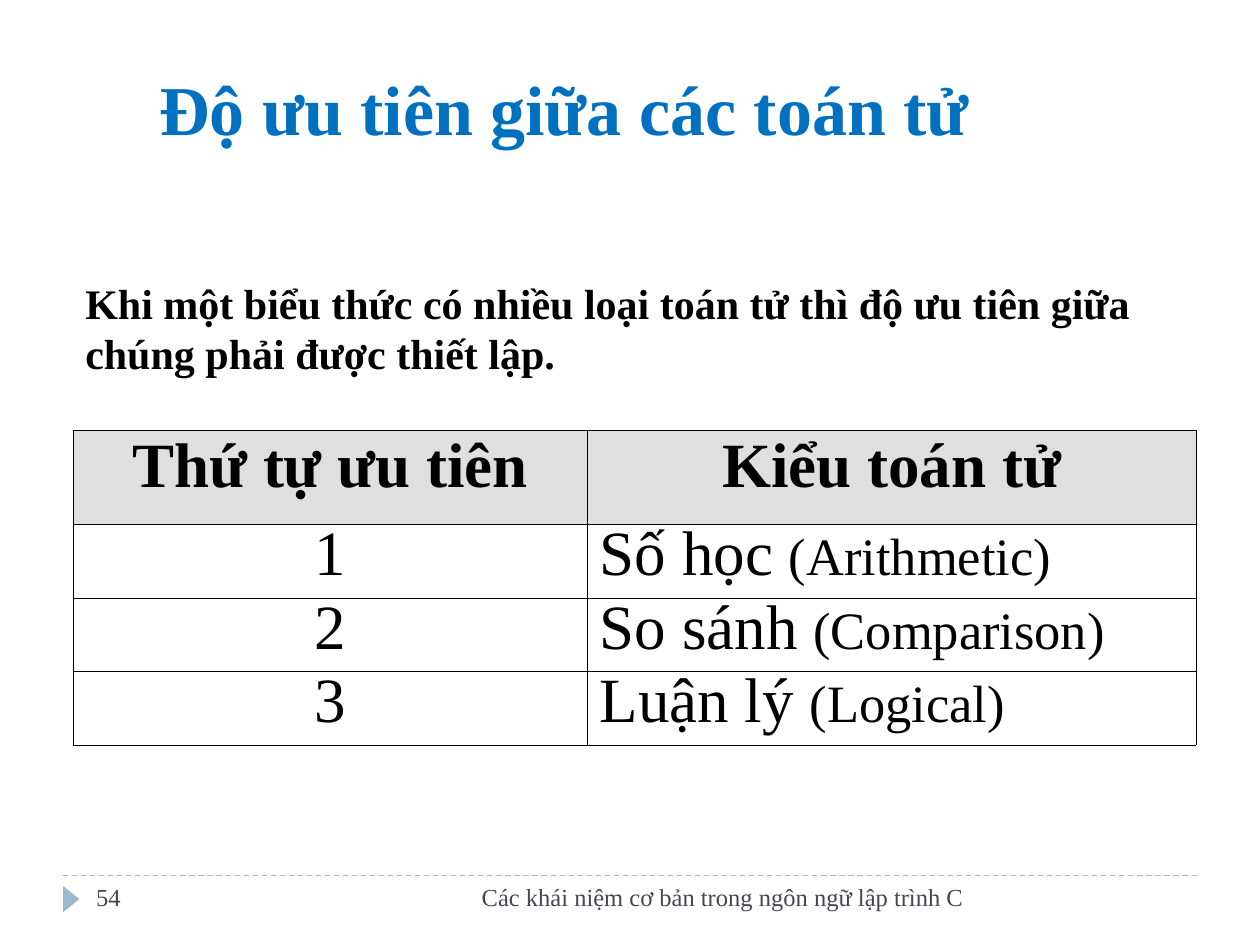
from lxml.etree import SubElement
from pptx import Presentation
from pptx.dml.color import RGBColor
from pptx.enum.dml import MSO_LINE
from pptx.enum.shapes import MSO_CONNECTOR, MSO_SHAPE
from pptx.enum.text import MSO_ANCHOR, PP_ALIGN
from pptx.oxml import parse_xml
from pptx.oxml.ns import nsdecls, qn
from pptx.util import Cm, Pt

COLORS = {
    "title": "0070C0",
    "text": "000000",
    "footer": "464653",
    "accent": "9FB8CD",
    "header": "DFDFDF",
    "border": "000000",
}
FONT = "Times New Roman"

# text, (left, top, width, height) in cm, size, colour, bold, anchor, alignment
TEXTS = [
    ("Các khái niệm cơ bản trong ngôn ngữ lập trình C",
     (8.05, 17.65, 11.63, 1.02), 14, "footer", False, MSO_ANCHOR.TOP, PP_ALIGN.RIGHT),
    ("Khi một biểu thức có nhiều loại toán tử thì độ ưu tiên giữa chúng phải được thiết lập.",
     (1.47, 5.46, 23.06, 2.29), 24, "text", True, MSO_ANCHOR.MIDDLE, PP_ALIGN.LEFT),
    ("Độ ưu tiên giữa các toán tử",
     (2.96, 0.84, 21.17, 2.29), 40, "title", True, MSO_ANCHOR.BOTTOM, PP_ALIGN.LEFT),
    ("54",
     (1.69, 17.65, 5.5, 1.02), 14, "footer", False, MSO_ANCHOR.TOP, PP_ALIGN.LEFT),
]

HEADERS = ["Thứ tự ưu tiên", "Kiểu toán tử"]
OPERATORS = [
    ("Số học ", "(Arithmetic)"),
    ("So sánh ", "(Comparison)"),
    ("Luận lý ", "(Logical)"),
]
TABLE_LEFT, TABLE_TOP = 1.47, 8.68
COL_WIDTHS = [10.37, 12.27]
ROW_HEIGHTS = [1.9] + [1.48] * len(OPERATORS)


def rgb(name):
    return RGBColor.from_string(COLORS[name])


def style(r, size, color="text", bold=False):
    r.font.name = FONT
    r.font.size = Pt(size)
    r.font.bold = bold
    r.font.color.rgb = rgb(color)


def add_text(s, text, box, size, color, bold, anchor, align):
    tf = s.shapes.add_textbox(*map(Cm, box)).text_frame
    tf.word_wrap = True
    tf.vertical_anchor = anchor
    tf.text = text
    p = tf.paragraphs[0]
    p.alignment = align
    style(p.runs[0], size, color, bold)


def add_borders(cell):
    tc_pr = cell._tc.get_or_add_tcPr()
    for side in "LRTB":
        tc_pr.append(parse_xml(
            f'<a:ln{side} {nsdecls("a")} w="{Pt(0.45)}"><a:solidFill>'
            f'<a:srgbClr val="{COLORS["border"]}"/></a:solidFill></a:ln{side}>'))


def fill_cell(cell, parts, align, spacing, bold=False):
    """Write (text, size) parts as the runs of one cell."""
    add_borders(cell)
    if bold:
        cell.fill.solid()
        cell.fill.fore_color.rgb = rgb("header")
    else:
        cell.fill.background()
    p = cell.text_frame.paragraphs[0]
    p.alignment = align
    p.line_spacing = spacing
    for text, size in parts:
        r = p.add_run()
        r.text = text
        style(r, size, bold=bold)


def add_priority_table(s):
    table = s.shapes.add_table(
        len(ROW_HEIGHTS), len(COL_WIDTHS), Cm(TABLE_LEFT), Cm(TABLE_TOP),
        Cm(sum(COL_WIDTHS)), Cm(sum(ROW_HEIGHTS))).table
    table.first_row = table.horz_banding = False
    for col, width in zip(table.columns, COL_WIDTHS):
        col.width = Cm(width)
    for row, height in zip(table.rows, ROW_HEIGHTS):
        row.height = Cm(height)
    for c, header in enumerate(HEADERS):
        fill_cell(table.cell(0, c), [(header, 36)], PP_ALIGN.CENTER, 0.9, bold=True)
    for rank, (name, english) in enumerate(OPERATORS, start=1):
        fill_cell(table.cell(rank, 0), [(str(rank), 36)], PP_ALIGN.CENTER, 0.8)
        fill_cell(table.cell(rank, 1), [(name, 36), (english, 30)], PP_ALIGN.LEFT, 0.8)


def add_footer_marks(s):
    line = s.shapes.add_connector(
        MSO_CONNECTOR.STRAIGHT, Cm(1.27), Cm(17.65), Cm(24.13), Cm(17.65))
    line.line.color.rgb = rgb("accent")
    line.line.width = Pt(0.75)
    line.line.dash_style = MSO_LINE.DASH
    SubElement(line._element.spPr, qn("a:effectLst"))

    sp = s.shapes.add_shape(
        MSO_SHAPE.ISOSCELES_TRIANGLE, Cm(1.17), Cm(17.96), Cm(0.53), Cm(0.33))
    sp.rotation = 90
    sp.shadow.inherit = False
    sp.fill.solid()
    sp.fill.fore_color.rgb = rgb("accent")
    sp.line.fill.background()


def main():
    prs = Presentation()
    prs.slide_width, prs.slide_height = Cm(25.4), Cm(19.05)
    s = prs.slides.add_slide(prs.slide_layouts[6])
    add_footer_marks(s)
    add_priority_table(s)
    for text in TEXTS:
        add_text(s, *text)
    prs.save("out.pptx")


if __name__ == "__main__":
    main()
